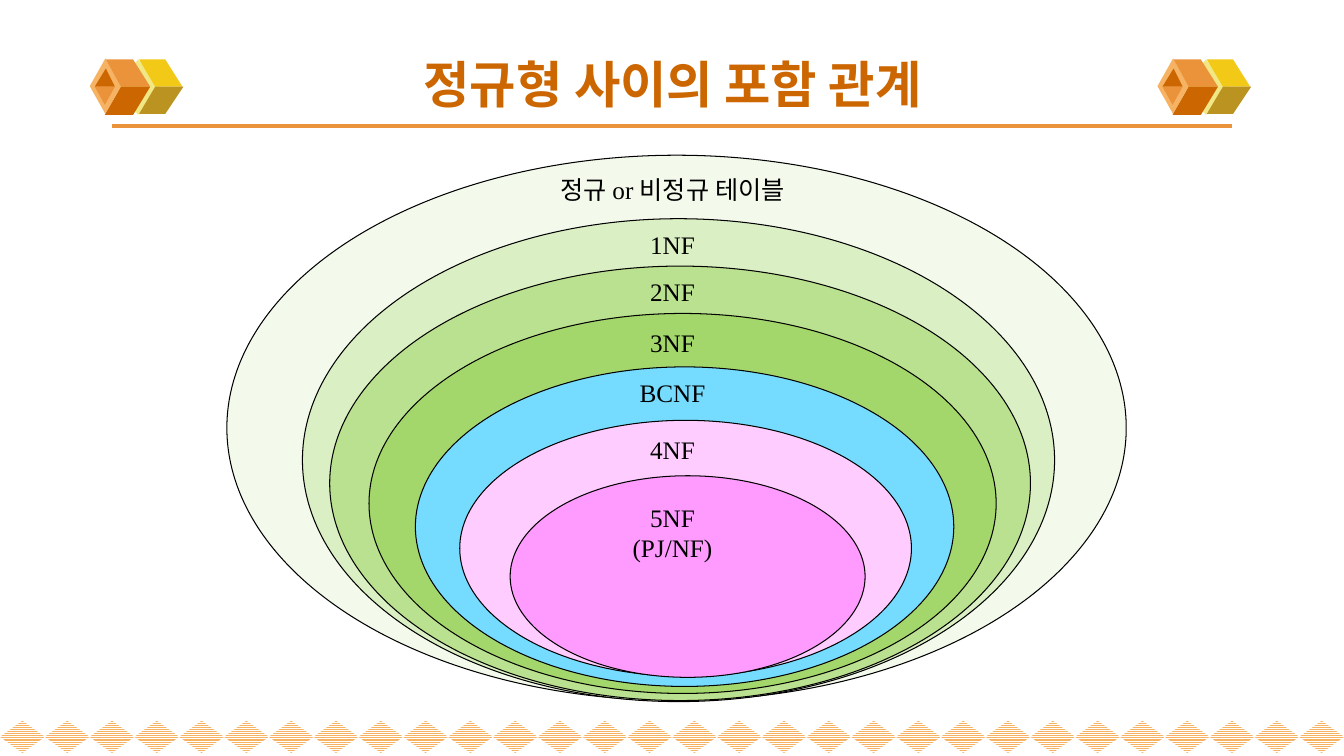
from dataclasses import dataclass

import pptx
import pptx.dml.color
import pptx.enum.dml
import pptx.enum.shapes
import pptx.enum.text
import pptx.oxml
import pptx.oxml.ns
import pptx.util

RGBColor = pptx.dml.color.RGBColor
Inches = pptx.util.Inches
Shape = pptx.enum.shapes.MSO_SHAPE

BLACK = RGBColor(0x00, 0x00, 0x00)
WHITE = RGBColor(0xFF, 0xFF, 0xFF)
RUST = RGBColor(0xCC, 0x66, 0x00)
ORANGE = RGBColor(0xEB, 0x93, 0x3B)
APRICOT = RGBColor(0xF5, 0xB3, 0x63)
CREAM = RGBColor(0xF1, 0xE7, 0x85)
YELLOW = RGBColor(0xF3, 0xC9, 0x17)
OLIVE = RGBColor(0xBB, 0x93, 0x21)
MINT = RGBColor(0xF3, 0xFA, 0xEC)
PALE_GREEN = RGBColor(0xDA, 0xEF, 0xC3)
LIGHT_GREEN = RGBColor(0xBA, 0xE1, 0x8F)
GREEN = RGBColor(0xA4, 0xD7, 0x6B)
SKY = RGBColor(0x75, 0xDB, 0xFF)
PINK = RGBColor(0xFF, 0xCC, 0xFF)
MAGENTA = RGBColor(0xFF, 0x9B, 0xFF)

SLIDE_WIDTH = 13.33
DIAMOND_COUNT = 30
CUBE_OFFSETS = (0, 10.59)
LABEL_CENTER = 6.67


@dataclass(frozen=True)
class Box:
    left: float
    top: float
    width: float
    height: float

    def emu(self) -> tuple:
        return tuple(Inches(v) for v in (self.left, self.top, self.width, self.height))


@dataclass(frozen=True)
class Facet:
    points: tuple
    color: RGBColor


@dataclass(frozen=True)
class NormalForm:
    box: Box
    color: RGBColor
    lines: tuple
    label_top: float
    label_width: float = 1.17


RIGHT_FACETS = (
    Facet(((1.54, 0.86), (1.81, 0.86), (1.64, 0.59), (1.38, 0.59)), YELLOW),
    Facet(((1.54, 0.86), (1.82, 0.86), (1.64, 1.13), (1.38, 1.13)), OLIVE),
)
LEFT_FACETS = (
    Facet(((1.2, 0.86), (1.49, 0.86), (1.32, 0.59), (1.05, 0.59)), ORANGE),
    Facet(((1.2, 0.86), (1.49, 0.86), (1.32, 1.14), (1.04, 1.14)), RUST),
    Facet(((1.05, 0.68), (0.94, 0.86), (1.14, 0.86)), RUST),
    Facet(((1.04, 1.04), (0.94, 0.86), (1.14, 0.86)), ORANGE),
)
NORMAL_FORMS = (
    NormalForm(Box(2.25, 1.54, 8.92, 5.41), MINT, ("정규 or 비정규 테이블",), 1.68, 3.01),
    NormalForm(Box(3, 2.17, 7.46, 4.79), PALE_GREEN, ("1NF",), 2.23),
    NormalForm(Box(3.27, 2.64, 6.95, 4.31), LIGHT_GREEN, ("2NF",), 2.69),
    NormalForm(Box(3.66, 3.11, 6.22, 3.77), GREEN, ("3NF",), 3.2),
    NormalForm(Box(4.12, 3.64, 5.34, 3.17), SKY, ("BCNF",), 3.69),
    NormalForm(Box(4.56, 4.17, 4.48, 2.54), PINK, ("4NF",), 4.26),
    NormalForm(Box(5.06, 4.72, 3.52, 2), MAGENTA, ("5NF", "(PJ/NF)"), 4.93),
)


def paint(sp, color: RGBColor) -> None:
    sp.shadow.inherit = False
    sp.fill.solid()
    sp.fill.fore_color.rgb = color
    sp.line.fill.background()


def add_solid(s, kind, box: Box, color: RGBColor):
    sp = s.shapes.add_shape(kind, *box.emu())
    paint(sp, color)
    return sp


def add_facet(s, facet: Facet, dx: float) -> None:
    points = [(Inches(x + dx), Inches(y)) for x, y in facet.points]
    fb = s.shapes.build_freeform(*points[0])
    fb.add_line_segments(points[1:], close=True)
    paint(fb.convert_to_shape(), facet.color)


def add_cube(s, dx: float) -> None:
    add_solid(s, Shape.DIAMOND, Box(1.15 + dx, 0.59, 0.44, 0.55), CREAM)
    for facet in RIGHT_FACETS:
        add_facet(s, facet, dx)
    add_solid(s, Shape.DIAMOND, Box(0.89 + dx, 0.58, 0.31, 0.55), APRICOT)
    for facet in LEFT_FACETS:
        add_facet(s, facet, dx)


def add_border(s) -> None:
    pitch = SLIDE_WIDTH / DIAMOND_COUNT
    for i in range(DIAMOND_COUNT):
        sp = add_solid(s, Shape.DIAMOND, Box(i * pitch, 7.15, pitch, 0.32), APRICOT)
        sp.fill.patterned()
        sp.fill.pattern = pptx.enum.dml.MSO_PATTERN.NARROW_HORIZONTAL
        sp.fill.fore_color.rgb = APRICOT
        sp.fill.back_color.rgb = WHITE


def add_rule(s) -> None:
    ends = [Inches(v) for v in (1.11, 1.25, 12.22, 1.25)]
    cn = s.shapes.add_connector(pptx.enum.shapes.MSO_CONNECTOR.STRAIGHT, *ends)
    cn.line.color.rgb = ORANGE
    cn.line.width = pptx.util.Pt(2.25)
    sp_pr = cn._element.find(pptx.oxml.ns.qn("p:spPr"))
    sp_pr.append(pptx.oxml.parse_xml(
        '<a:effectLst xmlns:a="http://schemas.openxmlformats.org/drawingml/2006/main"/>'))


def add_text(s, box: Box, lines: tuple, color: RGBColor, font: dict, frame: dict) -> None:
    tf = s.shapes.add_textbox(*box.emu()).text_frame
    for name, value in {"word_wrap": True, **frame}.items():
        setattr(tf, name, value)
    for i, line in enumerate(lines):
        p = tf.add_paragraph() if i else tf.paragraphs[0]
        p.alignment = pptx.enum.text.PP_ALIGN.CENTER
        r = p.add_run()
        r.text = line
        r.font.color.rgb = color
        for name, value in {"name": "Times New Roman", **font}.items():
            setattr(r.font, name, value)


def add_label(s, form: NormalForm) -> None:
    height = 0.4 + 0.31 * (len(form.lines) - 1)
    left = LABEL_CENTER - form.label_width / 2
    add_text(s, Box(left, form.label_top, form.label_width, height), form.lines, BLACK,
             {"size": pptx.util.Pt(18)},
             {"auto_size": pptx.enum.text.MSO_AUTO_SIZE.SHAPE_TO_FIT_TEXT})


def main() -> None:
    prs = pptx.Presentation()
    prs.slide_width = Inches(SLIDE_WIDTH)
    prs.slide_height = Inches(7.5)
    s = prs.slides.add_slide(prs.slide_layouts[6])
    add_border(s)
    add_rule(s)
    for dx in CUBE_OFFSETS:
        add_cube(s, dx)
    add_text(s, Box(0.67, 0.4, 12, 0.85), ("정규형 사이의 포함 관계",), RUST,
             {"size": pptx.util.Pt(36), "bold": True},
             {"vertical_anchor": pptx.enum.text.MSO_ANCHOR.MIDDLE})
    for form in NORMAL_FORMS:
        sp = add_solid(s, Shape.OVAL, form.box, form.color)
        sp.line.color.rgb = BLACK
        sp.line.width = pptx.util.Pt(0.75)
    for form in NORMAL_FORMS:
        add_label(s, form)
    prs.save("out.pptx")


if __name__ == "__main__":
    main()
